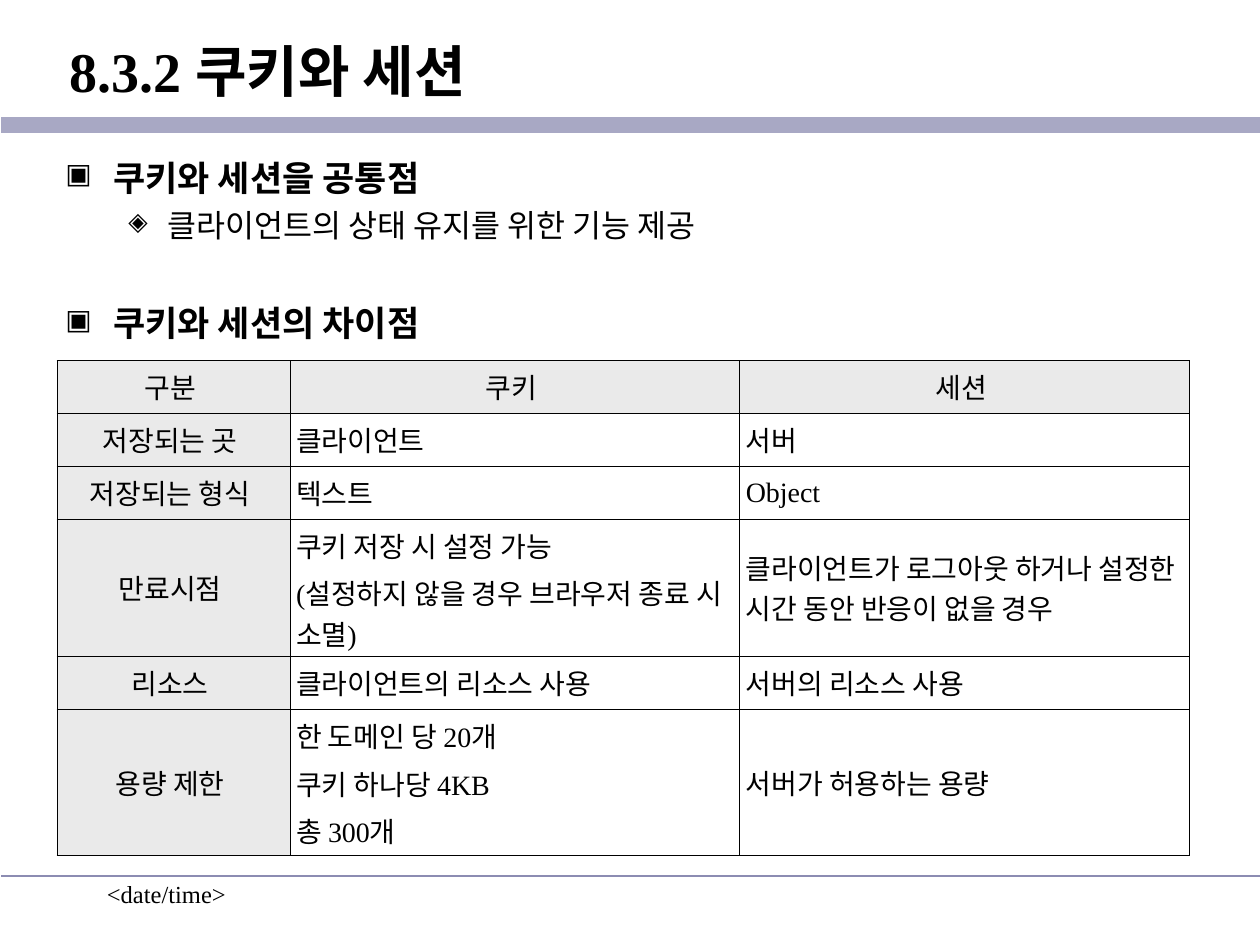
from lxml import etree
from pptx import Presentation
from pptx.dml.color import RGBColor
from pptx.enum.shapes import MSO_CONNECTOR
from pptx.enum.text import MSO_ANCHOR, PP_ALIGN
from pptx.oxml.ns import qn
from pptx.util import Inches, Pt

STRAIGHT = MSO_CONNECTOR.STRAIGHT
TOP, MIDDLE = MSO_ANCHOR.TOP, MSO_ANCHOR.MIDDLE
LEFT, CENTER = PP_ALIGN.LEFT, PP_ALIGN.CENTER

COLORS = {
    "text": "000000",
    "footer_back": "969696",
    "footer_front": "8C8CB2",
    "band": "A8A8C4",
    "label": "EAEAEA",
}


def add_text(left, top, width, height, anchor=TOP):
    box = page.shapes.add_textbox(Inches(left), Inches(top), Inches(width), Inches(height))
    box.text_frame.word_wrap = True
    box.text_frame.vertical_anchor = anchor
    return box.text_frame


def set_font(para, size, bold=False):
    para.font.name = "Times New Roman"
    para.font.size = Pt(size)
    para.font.bold = bold
    para.font.color.rgb = RGBColor.from_string(COLORS["text"])


deck = Presentation()
deck.slide_width, deck.slide_height = Inches(10), Inches(7.5)
page = deck.slides.add_slide(deck.slide_layouts[6])

footer = add_text(0.75, 6.93, 2.08, 0.5).paragraphs[0]
footer.text = "<date/time>"
set_font(footer, 14)

for y, color, weight in [(6.95, "footer_back", 1), (0.99, "band", 9.25), (6.95, "footer_front", 1)]:
    rule = page.shapes.add_connector(STRAIGHT, Inches(0.01), Inches(y), Inches(10), Inches(y))
    rule.line.color.rgb = RGBColor.from_string(COLORS[color])
    rule.line.width = Pt(weight)
    etree.SubElement(rule._element.spPr, qn("a:effectLst"))

title = add_text(0.45, 0.11, 9.55, 0.9, MIDDLE).paragraphs[0]
title.text = "8.3.2 쿠키와 세션"
set_font(title, 32, True)

points = [
    ("쿠키와 세션을 공통점", 0, 0),
    ("클라이언트의 상태 유지를 위한 기능 제공", 1, 4.5),
    ("쿠키와 세션의 차이점", 0, 33),
]
levels = [("▣", 0.38, 0.38, 20, True), ("◈", 0.81, 0.31, 18, False)]
body = add_text(0.42, 1.19, 9.16, 1.67)
for index, (text, level, before) in enumerate(points):
    mark, margin, hanging, size, bold = levels[level]
    para = body.add_paragraph() if index else body.paragraphs[0]
    para.text = text
    para.level = level
    para.space_before = Pt(before)
    props = para._p.get_or_add_pPr()
    props.set("marL", str(Inches(margin)))
    props.set("indent", str(-Inches(hanging)))
    bullet_color = etree.SubElement(props, qn("a:buClr"))
    etree.SubElement(bullet_color, qn("a:srgbClr"), val=COLORS["text"])
    etree.SubElement(props, qn("a:buSzPct"), val="80000")
    etree.SubElement(props, qn("a:buChar"), char=mark)
    set_font(para, size, bold)

rows = [
    ("구분", "쿠키", "세션"),
    ("저장되는 곳", "클라이언트", "서버"),
    ("저장되는 형식", "텍스트", "Object"),
    (
        "만료시점",
        "쿠키 저장 시 설정 가능\n(설정하지 않을 경우 브라우저 종료 시 소멸)",
        "클라이언트가 로그아웃 하거나 설정한 시간 동안 반응이 없을 경우",
    ),
    ("리소스", "클라이언트의 리소스 사용", "서버의 리소스 사용"),
    ("용량 제한", "한 도메인 당 20개\n쿠키 하나당 4KB\n총 300개", "서버가 허용하는 용량"),
]
widths = [1.85, 3.57, 3.57]
heights = [0.42, 0.42, 0.42, 1.09, 0.42, 1.16]
table = page.shapes.add_table(
    len(rows), len(widths), Inches(0.45), Inches(2.86), Inches(sum(widths)), Inches(sum(heights))
).table
table.first_row = table.horz_banding = False
for column, width in zip(table.columns, widths):
    column.width = Inches(width)
for row, height in zip(table.rows, heights):
    row.height = Inches(height)

for r, texts in enumerate(rows):
    for c, text in enumerate(texts):
        is_label = r == 0 or c == 0
        cell = table.cell(r, c)
        cell.text = text
        cell.vertical_anchor = MIDDLE
        cell.margin_left = Inches(0.05)
        cell.margin_right = Inches(0.1)
        props = cell._tc.get_or_add_tcPr()
        for side in ("lnL", "lnR", "lnT", "lnB"):
            border = etree.SubElement(props, qn(f"a:{side}"), w=str(Pt(0.25)))
            paint = etree.SubElement(border, qn("a:solidFill"))
            etree.SubElement(paint, qn("a:srgbClr"), val=COLORS["text"])
        if is_label:
            cell.fill.solid()
            cell.fill.fore_color.rgb = RGBColor.from_string(COLORS["label"])
        else:
            cell.fill.background()
        for index, para in enumerate(cell.text_frame.paragraphs):
            para.alignment = CENTER if is_label else LEFT
            para.space_before = Pt(4 if index else 0)
            set_font(para, 16)

deck.save("out.pptx")
